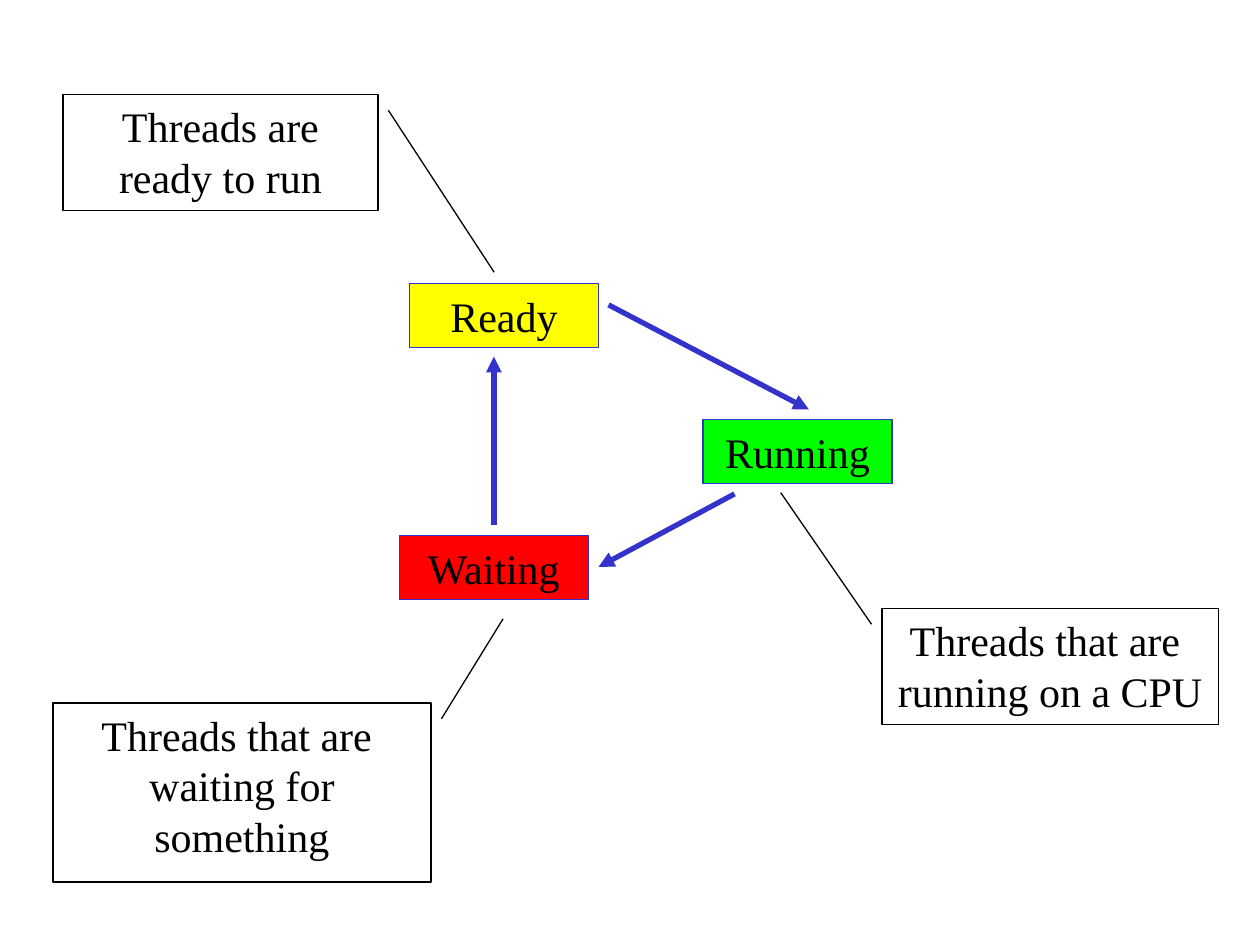
import pptx
import pptx.util
import pptx.dml.color
import pptx.enum.shapes
import pptx.enum.text
import pptx.oxml
import pptx.oxml.ns

Inches = pptx.util.Inches
Pt = pptx.util.Pt
SHAPE = pptx.enum.shapes.MSO_SHAPE
ANCHOR = pptx.enum.text.MSO_ANCHOR

BLUE, BLACK = "3333CC", "000000"
FONT = {"name": "Times New Roman", "size": Pt(24)}
STATE_SIZE = (1.5, 0.51)

states = [
    ("Ready", 3.25, 2.25, "FFFF00"),
    ("Running", 5.58, 3.33, "00FF00"),
    ("Waiting", 3.17, 4.25, "FF0000"),
]
transitions = [
    ((4.83, 2.42), (6.42, 3.25)),
    ((5.83, 3.92), (4.75, 4.5)),
    ((3.92, 4.17), (3.92, 2.83)),
]
callouts = [
    ("Threads are ready to run", (0.5, 0.75, 2.5, 0.92), (0.136, 1.033, 1.534, 1.369)),
    ("Threads that are  running on a CPU", (7, 4.83, 2.67, 0.92), (0.136, -0.031, -1, -0.301)),
    ("Threads that are  waiting for something", (0.42, 5.58, 3, 1.42), (0.088, 1.028, -0.471, 1.191)),
]


def rgb(value):
    return pptx.dml.color.RGBColor.from_string(value)


def add_box(kind, box, text, line, fill=None, anchor=ANCHOR.TOP, wrap=True):
    sp = s.shapes.add_shape(kind, *map(Inches, box))
    sp.shadow.inherit = False
    if fill:
        sp.fill.solid()
        sp.fill.fore_color.rgb = rgb(fill)
    else:
        sp.fill.background()
    sp.line.color.rgb = rgb(line)
    sp.line.width = Pt(0.75)
    tf = sp.text_frame
    tf.word_wrap = wrap
    tf.vertical_anchor = anchor
    p = tf.paragraphs[0]
    p.alignment = pptx.enum.text.PP_ALIGN.CENTER
    r = p.add_run()
    r.text = text
    for key, value in FONT.items():
        setattr(r.font, key, value)
    r.font.color.rgb = rgb(BLACK)
    return sp


def add_arrow(start, end):
    c = s.shapes.add_connector(
        pptx.enum.shapes.MSO_CONNECTOR.STRAIGHT, *map(Inches, start + end)
    )
    c.line.color.rgb = rgb(BLUE)
    c.line.width = Pt(3)
    ns = pptx.oxml.ns.nsdecls("a")
    c.line._get_or_add_ln().append(
        pptx.oxml.parse_xml(f'<a:tailEnd {ns} type="triangle"/>')
    )
    c._element.spPr.append(pptx.oxml.parse_xml(f"<a:effectLst {ns}/>"))


prs = pptx.Presentation()
prs.slide_width, prs.slide_height = Inches(10), Inches(7.5)
s = prs.slides.add_slide(prs.slide_layouts[6])

for name, left, top, fill in states:
    sp = add_box(SHAPE.RECTANGLE, (left, top) + STATE_SIZE, name, BLUE, fill, ANCHOR.MIDDLE, False)
    sp.text_frame.auto_size = pptx.enum.text.MSO_AUTO_SIZE.SHAPE_TO_FIT_TEXT
    sp.text_frame.word_wrap = True

for start, end in transitions:
    add_arrow(start, end)

for text, box, adjustments in callouts:
    sp = add_box(SHAPE.LINE_CALLOUT_1, box, text, BLACK)
    for i, value in enumerate(adjustments):
        sp.adjustments[i] = value

prs.save("out.pptx")
